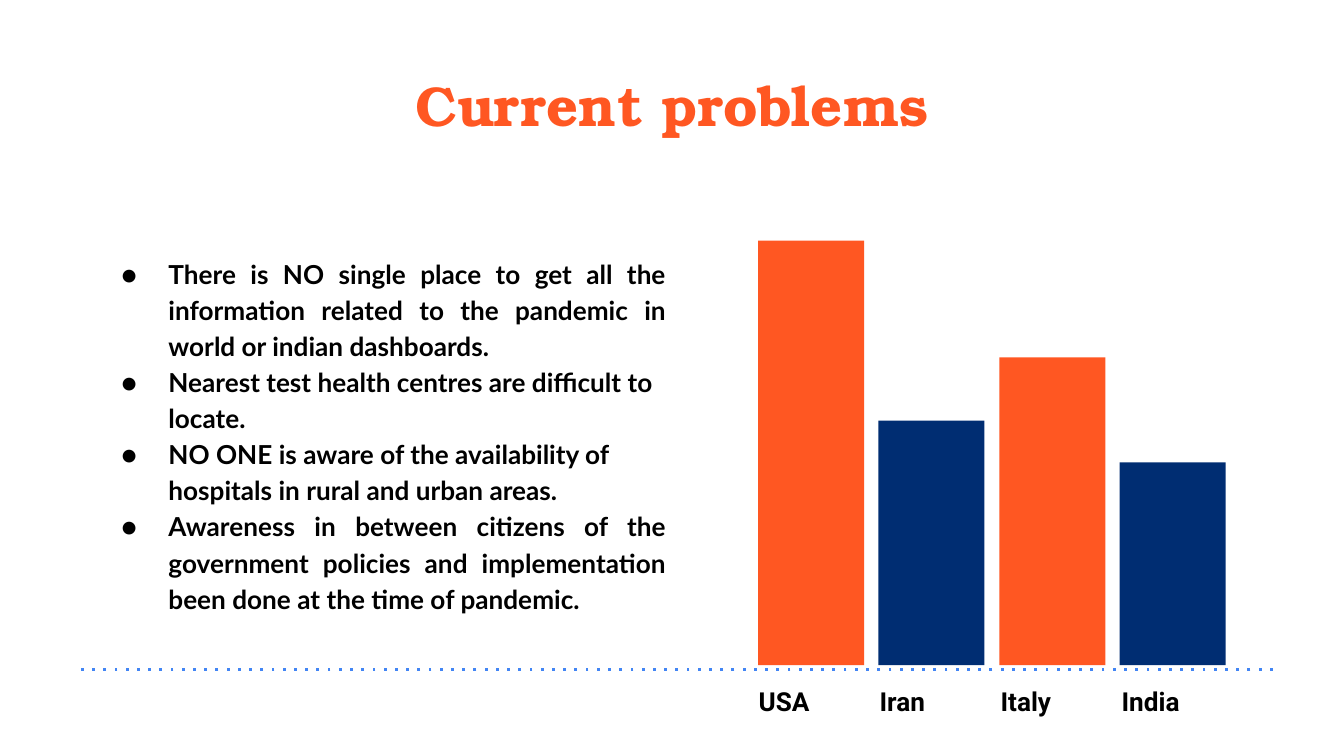
from pptx import Presentation
from pptx import util as u
from pptx.dml.color import RGBColor
from pptx.enum import shapes, text
from pptx.oxml.ns import qn
from lxml import etree

PX = 4572  # 200 px to the inch
ORANGE, NAVY, BLUE, BLACK = "FF5722", "002D72", "4285F4", "000000"

PROBLEMS = [
    ("There is NO single place to get all the information related to the "
     "pandemic in world or indian dashboards.", True),
    ("Nearest test health centres are difficult to locate.", False),
    ("NO ONE is aware of the availability of hospitals in rural and urban areas.", False),
    ("Awareness in between citizens of the government policies and "
     "implementation been done at the time of pandemic.", True),
]
COUNTRIES = [("USA", 632, ORANGE), ("Iran", 364, NAVY),
             ("Italy", 458, ORANGE), ("India", 302, NAVY)]


def px(*lengths):
    return [u.Emu(length * PX) for length in lengths]


def color(hex_value):
    return RGBColor.from_string(hex_value)


def style(paragraph, font_name, size, hex_value):
    font = paragraph.font
    font.name, font.size, font.bold = font_name, u.Pt(size), True
    font.color.rgb = color(hex_value)


def set_insets(frame):
    """Give all four sides of a text box or cell the same margin."""
    inset, = px(20)
    frame.margin_left = frame.margin_right = inset
    frame.margin_top = frame.margin_bottom = inset


def add_frame(slide, box):
    frame = slide.shapes.add_textbox(*px(*box)).text_frame
    frame.word_wrap = True
    set_insets(frame)
    return frame


def add_bullet(paragraph):
    properties = paragraph._p.get_or_add_pPr()
    indent, hang = px(100, 70)
    properties.set("marL", str(indent))
    properties.set("indent", str(-hang))
    bullet_color = etree.SubElement(properties, qn("a:buClr"))
    etree.SubElement(bullet_color, qn("a:srgbClr"), val=BLACK)
    etree.SubElement(properties, qn("a:buFont"), typeface="Lato")
    etree.SubElement(properties, qn("a:buChar"), char="●")


def add_title(slide, box):
    title = add_frame(slide, box).paragraphs[0]
    title.text = "Current problems"
    title.alignment = text.PP_ALIGN.CENTER
    style(title, "TeX Gyre Bonum", 30, ORANGE)


def add_problems(slide, box):
    frame = add_frame(slide, box)
    for index, (problem, justified) in enumerate(PROBLEMS):
        item = frame.add_paragraph() if index else frame.paragraphs[0]
        item.text = problem
        item.alignment = text.PP_ALIGN.JUSTIFY if justified else text.PP_ALIGN.LEFT
        item.line_spacing = 1.15
        add_bullet(item)
        style(item, "Lato", 14, BLACK)


def add_country_labels(slide, box):
    labels = slide.shapes.add_table(1, len(COUNTRIES), *px(*box)).table
    labels.first_row = labels.horz_banding = False
    for column, (country, _, _) in enumerate(COUNTRIES):
        cell = labels.cell(0, column)
        cell.fill.background()
        set_insets(cell)
        label = cell.text_frame.paragraphs[0]
        label.text = country
        label.line_spacing = 1.15
        style(label, "Roboto", 14, BLACK)


def add_bars(slide, box):
    """Stand one bar per country on the bottom edge of the box."""
    left, top, width, height = box
    bar_width = 158
    step = (width - bar_width) / (len(COUNTRIES) - 1)
    for index, (_, bar_height, fill) in enumerate(COUNTRIES):
        bar = slide.shapes.add_shape(
            shapes.MSO_SHAPE.RECTANGLE,
            *px(round(left + index * step), top + height - bar_height,
                bar_width, bar_height))
        bar.shadow.inherit = False
        bar.fill.solid()
        bar.fill.fore_color.rgb = color(fill)
        bar.line.fill.background()


def add_baseline(slide, start, end, y):
    baseline = slide.shapes.add_connector(
        shapes.MSO_CONNECTOR.STRAIGHT, *px(start, y, end, y))
    baseline.line.color.rgb = color(BLUE)
    baseline.line.width = u.Pt(1.5)
    properties = baseline._element.spPr
    etree.SubElement(properties.find(qn("a:ln")), qn("a:prstDash"), val="dot")
    etree.SubElement(properties, qn("a:effectLst"))


def main():
    deck = Presentation()
    deck.slide_width, deck.slide_height = px(2000, 1125)
    slide = deck.slides.add_slide(deck.slide_layouts[6])
    add_title(slide, (68, 85, 1864, 138))
    add_problems(slide, (131, 358, 880, 632))
    add_country_labels(slide, (1109, 996, 720, 52))
    add_bars(slide, (1128, 358, 696, 632))
    add_baseline(slide, 1894, 111, 996)
    deck.save("out.pptx")


if __name__ == "__main__":
    main()
